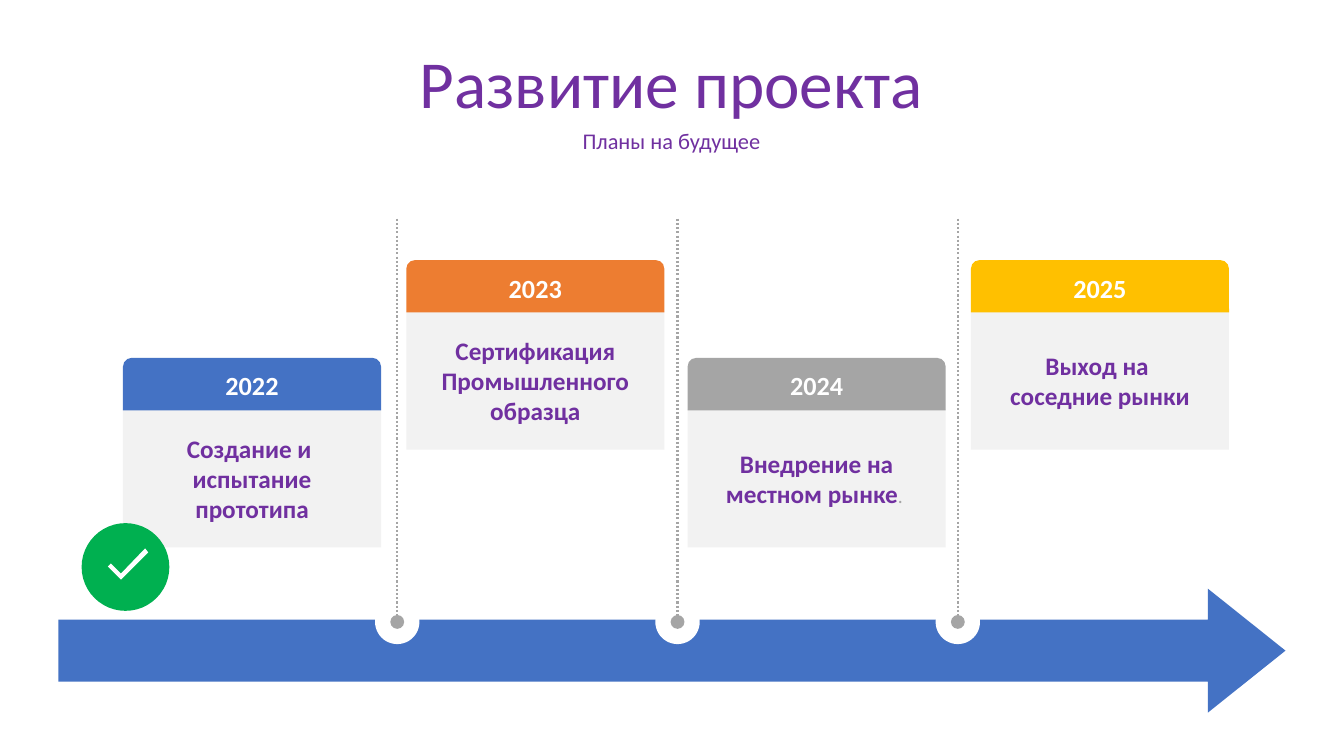
"""Build the project roadmap slide with a yearly timeline."""
import pptx
import pptx.util
import pptx.dml.color
import pptx.enum.dml
import pptx.enum.shapes
import pptx.enum.text
import lxml.etree

Inches = pptx.util.Inches
Pt = pptx.util.Pt
RGBColor = pptx.dml.color.RGBColor
KINDS = pptx.enum.shapes.MSO_SHAPE

PURPLE = RGBColor(0x70, 0x30, 0xA0)
BLUE = RGBColor(0x44, 0x72, 0xC4)
ORANGE = RGBColor(0xED, 0x7D, 0x31)
GRAY = RGBColor(0xA5, 0xA5, 0xA5)
GOLD = RGBColor(0xFF, 0xC0, 0x00)
GREEN = RGBColor(0x00, 0xB0, 0x50)
PALE = RGBColor(0xF2, 0xF2, 0xF2)
WHITE = RGBColor(0xFF, 0xFF, 0xFF)

deck = pptx.Presentation()
deck.slide_width = Inches(13.33)
deck.slide_height = Inches(7.5)
slide = deck.slides.add_slide(deck.slide_layouts[6])
shapes = slide.shapes


def draw(kind, box, color):
    shape = shapes.add_shape(kind, *[Inches(side) for side in box])
    shape.shadow.inherit = False
    shape.fill.solid()
    shape.fill.fore_color.rgb = color
    shape.line.fill.background()
    return shape


def write(shape, lines, style, pad=(0, 0), gap=1.0):
    frame = shape.text_frame
    wide, high = [Inches(side) for side in pad]
    form = {"word_wrap": True, "margin_left": wide, "margin_right": wide,
            "margin_top": high, "margin_bottom": high,
            "vertical_anchor": pptx.enum.text.MSO_ANCHOR.MIDDLE}
    for name, value in form.items():
        setattr(frame, name, value)
    for place, line in enumerate(lines):
        para = frame.add_paragraph() if place else frame.paragraphs[0]
        para.alignment = pptx.enum.text.PP_ALIGN.CENTER
        para.line_spacing = gap
        run = para.add_run()
        run.text = line
        color = style["color"]
        run.font.color.rgb = color
        for name in ("name", "size", "bold"):
            setattr(run.font, name, style[name])


heads = [("Планы на будущее", 1.29, 0.25, 16), ("Развитие проекта", 0.5, 0.72, 48)]
for text, top, high, size in heads:
    box = shapes.add_textbox(Inches(0.56), Inches(top), Inches(12.2), Inches(high))
    style = {"name": "Calibri", "size": Pt(size), "bold": False, "color": PURPLE}
    write(box, [text], style, gap=0.9)

arrow = draw(KINDS.RIGHT_ARROW, (0.58, 5.84, 12.17, 1.23), BLUE)
arrow.adjustments[1] = 0.626

for step in range(3):
    mid = 3.94 + 2.78 * step
    draw(KINDS.OVAL, (mid - 0.22, 5.95, 0.44, 0.44), WHITE)
    line = shapes.add_connector(pptx.enum.shapes.MSO_CONNECTOR.STRAIGHT,
                                Inches(mid), Inches(2.17), Inches(mid), Inches(6.17))
    line.line.color.rgb = GRAY
    line.line.width = Pt(1.5)
    line.line.dash_style = pptx.enum.dml.MSO_LINE.ROUND_DOT
    props = line._element.spPr
    tail = lxml.etree.SubElement(props.ln, pptx.oxml.ns.qn("a:tailEnd"))
    for name, value in {"type": "oval", "w": "lg", "len": "lg"}.items():
        tail.set(name, value)
    lxml.etree.SubElement(props, pptx.oxml.ns.qn("a:effectLst"))

PAD = (0.13, 0.07)
body = {"name": "Calibri", "size": Pt(18), "bold": True, "color": PURPLE}
label = {"name": "Calibri", "size": Pt(18.7), "bold": True, "color": WHITE}
cards = [
    ("2022", 1.22, 3.55, BLUE, ["Создание и ", "испытание прототипа"]),
    ("2023", 4.03, 2.58, ORANGE, ["Сертификация", "Промышленного", "образца"]),
    ("2024", 6.82, 3.55, GRAY, ["Внедрение на", "местном рынке"]),
    ("2025", 9.63, 2.58, GOLD, ["Выход на ", "соседние рынки"]),
]
for year, left, top, color, lines in cards:
    card = draw(KINDS.RECTANGLE, (left, top + 0.51, 2.56, 1.37), PALE)
    write(card, lines, body, PAD)
    if year == "2024":
        dot = card.text_frame.paragraphs[-1].add_run()
        dot.text = ". "
        dot.font.color.rgb = GRAY
        for name, value in {"name": "Calibri", "size": Pt(14), "bold": False}.items():
            setattr(dot.font, name, value)
    tab = draw(KINDS.ROUND_2_SAME_RECTANGLE, (left, top, 2.56, 0.52), color)
    write(tab, [year], label, PAD)

draw(KINDS.OVAL, (0.81, 5.19, 0.87, 0.87), GREEN)
points = [(1.2, 5.69), (1.1, 5.59), (1.07, 5.62), (1.2, 5.75), (1.47, 5.48), (1.44, 5.44)]
pen = shapes.build_freeform(*points[0], scale=Inches(1))
pen = shapes.build_freeform(Inches(1.2), Inches(5.69))
pen.add_line_segments([(Inches(x), Inches(y)) for x, y in points[1:]])
check = pen.convert_to_shape()
check.shadow.inherit = False
check.fill.solid()
check.fill.fore_color.rgb = WHITE
check.line.fill.background()

deck.save("out.pptx")
